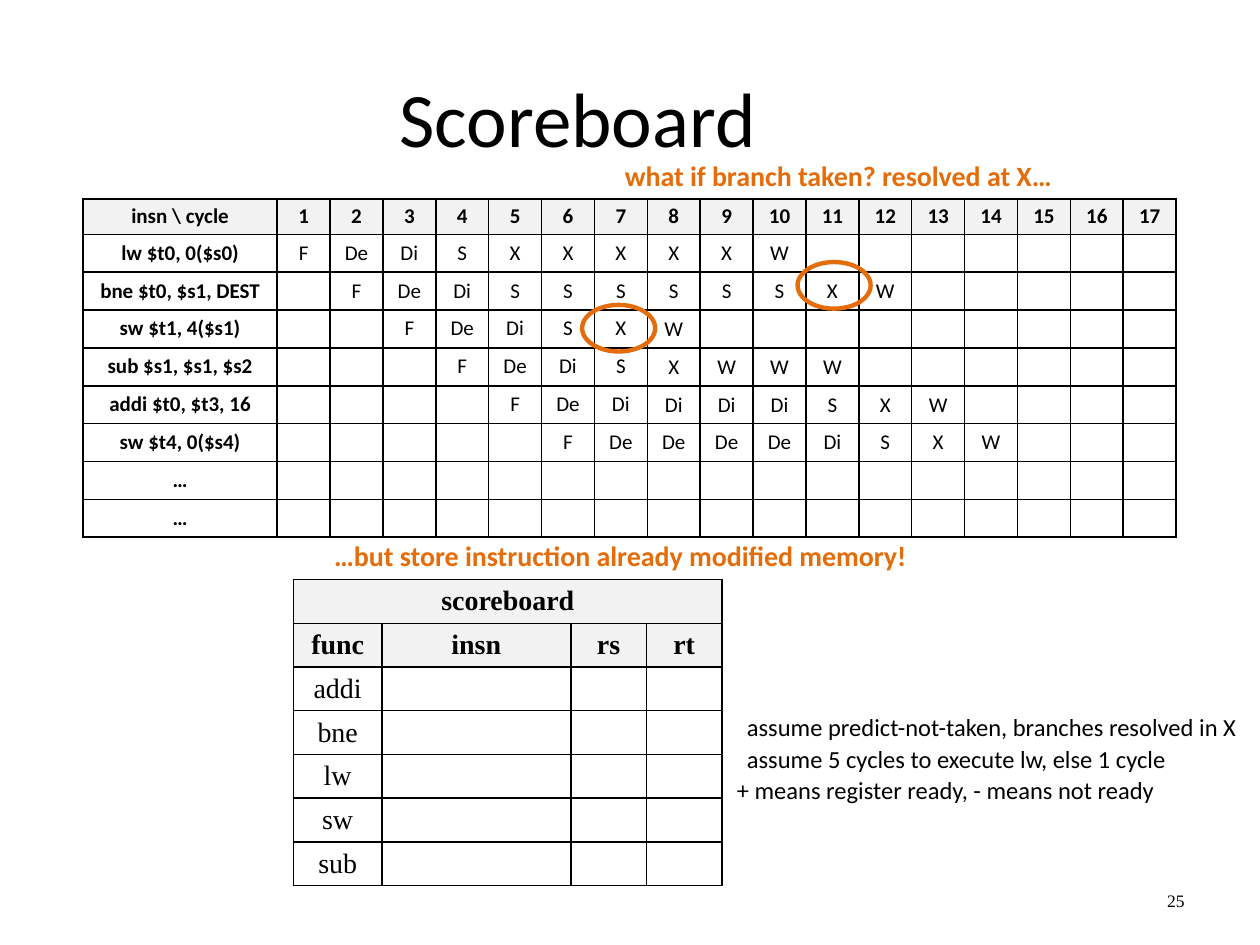
import pptx
import pptx.dml.color
import pptx.enum.shapes
import pptx.enum.text
import pptx.oxml
import pptx.oxml.ns
import pptx.util
from pptx.util import Inches

ALIGN = pptx.enum.text.PP_ALIGN
MIDDLE = pptx.enum.text.MSO_ANCHOR.MIDDLE
NAMESPACE = pptx.oxml.ns.nsdecls("a")


def color(hex_string):
    return pptx.dml.color.RGBColor.from_string(hex_string)


class SlideBuilder:
    sans, serif = "Calibri", "Times New Roman"
    black, white, header, accent = "000000", "FFFFFF", "F2F2F2", "E46C0A"

    def __init__(self, slide):
        self.slide = slide

    def fill_paragraph(self, paragraph, text, size, font, ink, bold, align):
        paragraph.text = text
        paragraph.alignment = align
        for run in paragraph.runs:
            run.font.size = pptx.util.Pt(size)
            run.font.name = font
            run.font.bold = bold
            run.font.color.rgb = color(ink)

    def text(self, box, text, size, font=sans, ink=black, bold=False,
             align=ALIGN.LEFT, wrap=True):
        shape = self.slide.shapes.add_textbox(*map(Inches, box))
        frame = shape.text_frame
        frame.word_wrap = wrap
        frame.vertical_anchor = MIDDLE
        self.fill_paragraph(frame.paragraphs[0], text, size, font, ink, bold,
                            align)

    def callout(self, box, text):
        self.text(box, text, 16, ink=self.accent, bold=True,
                  align=ALIGN.CENTER, wrap=False)

    def ellipse(self, box):
        shape = self.slide.shapes.add_shape(
            pptx.enum.shapes.MSO_SHAPE.OVAL, *map(Inches, box))
        shape.shadow.inherit = False
        shape.fill.background()
        shape.line.color.rgb = color(self.accent)
        shape.line.width = pptx.util.Pt(2.5)

    def table(self, left, top, widths, heights):
        frame = self.slide.shapes.add_table(
            len(heights), len(widths), Inches(left), Inches(top),
            Inches(sum(widths)), Inches(sum(heights)))
        table = frame.table
        table.first_row = table.horz_banding = False
        for column, width in zip(table.columns, widths):
            column.width = Inches(width)
        for row, height in zip(table.rows, heights):
            row.height = Inches(height)
        return table

    def cell(self, cell, text, size, font, bold, fill, margin, spacing=1.0):
        properties = cell._tc.get_or_add_tcPr()
        for side in ("lnL", "lnR", "lnT", "lnB"):
            properties.append(pptx.oxml.parse_xml(
                f'<a:{side} {NAMESPACE} w="12700"><a:solidFill>'
                f'<a:srgbClr val="{self.black}"/></a:solidFill></a:{side}>'))
        cell.fill.solid()
        cell.fill.fore_color.rgb = color(fill)
        cell.vertical_anchor = MIDDLE
        cell.margin_top = cell.margin_bottom = Inches(margin)
        paragraph = cell.text_frame.paragraphs[0]
        self.fill_paragraph(paragraph, text, size, font, self.black, bold,
                            ALIGN.CENTER)
        paragraph.line_spacing = spacing
        if not text:
            # Keep empty cells from growing to the default text size
            paragraph._p.append(pptx.oxml.parse_xml(
                f'<a:endParaRPr {NAMESPACE} sz="{size * 100}"/>'))


def main():
    presentation = pptx.Presentation()
    presentation.slide_width = Inches(10)
    presentation.slide_height = Inches(7.5)
    builder = SlideBuilder(
        presentation.slides.add_slide(presentation.slide_layouts[6]))

    # Notes beside the scoreboard, title and page number
    builder.text((5.83, 5.52, 4.17, 0.5),
                 "assume predict-not-taken, branches resolved in X", 14)
    builder.text((5.75, 6.02, 3.83, 0.5),
                 "+ means register ready, - means not ready", 14)
    builder.text((0.5, 0.3, 8.17, 1.25), "Scoreboard", 44, align=ALIGN.CENTER)
    builder.text((8.33, 6.95, 1.17, 0.4), "25", 10, font=builder.serif,
                 align=ALIGN.RIGHT)

    # Pipeline: each instruction is fetched one cycle after the one before
    cycles = 17
    program = [
        ("lw $t0, 0($s0)", "F De Di S X X X X X W"),
        ("bne $t0, $s1, DEST", "F De Di S S S S S S X W"),
        ("sw $t1, 4($s1)", "F De Di S X W"),
        ("sub $s1, $s1, $s2", "F De Di S X W W W"),
        ("addi $t0, $t3, 16", "F De Di Di Di Di S X W"),
        ("sw $t4, 0($s4)", "F De De De De Di S X W"),
        ("…", ""),
        ("…", ""),
    ]
    rows = [["insn \\ cycle"] + [str(n + 1) for n in range(cycles)]]
    for start, (instruction, stages) in enumerate(program):
        row = [instruction] + [""] * start + stages.split()
        rows.append(row + [""] * (cycles + 1 - len(row)))
    pipeline = builder.table(0.66, 1.58, [1.54] + [0.42] * cycles,
                             [0.28] + [0.3] * len(program))
    for r, row in enumerate(rows):
        for c, text in enumerate(row):
            builder.cell(pipeline.cell(r, c), text, 12, builder.sans,
                         r == 0 or c == 0,
                         builder.white if r else builder.header, 0.05,
                         0.9 if r < 2 or c < 8 else 1.0)

    # Scoreboard
    rows = [["scoreboard", "", "", ""], ["func", "insn", "rs", "rt"]]
    rows += [[unit, "", "", ""] for unit in ("addi", "bne", "lw", "sw", "sub")]
    scoreboard = builder.table(2.33, 4.6, [0.7, 1.5, 0.6, 0.6],
                               [2.43 / len(rows)] * len(rows))
    for r, row in enumerate(rows):
        for c, text in enumerate(row):
            builder.cell(scoreboard.cell(r, c), text, 16, builder.serif, r < 2,
                         builder.header if r < 2 else builder.white, 0.04)
    scoreboard.cell(0, 0).merge(scoreboard.cell(0, 3))

    # Remaining note and callouts
    builder.text((5.83, 5.77, 3.83, 0.5),
                 "assume 5 cycles to execute lw, else 1 cycle", 14)
    builder.callout((2.51, 4.22, 4.83, 0.37),
                    "…but store instruction already modified memory!")
    builder.callout((4.83, 1.21, 3.65, 0.37),
                    "what if branch taken? resolved at X…")

    # Rings around the branch and store execute stages
    for left, top in ((6.33, 2.08), (4.62, 2.42)):
        builder.ellipse((left, top, 0.58, 0.37))

    presentation.save("out.pptx")


if __name__ == "__main__":
    main()
